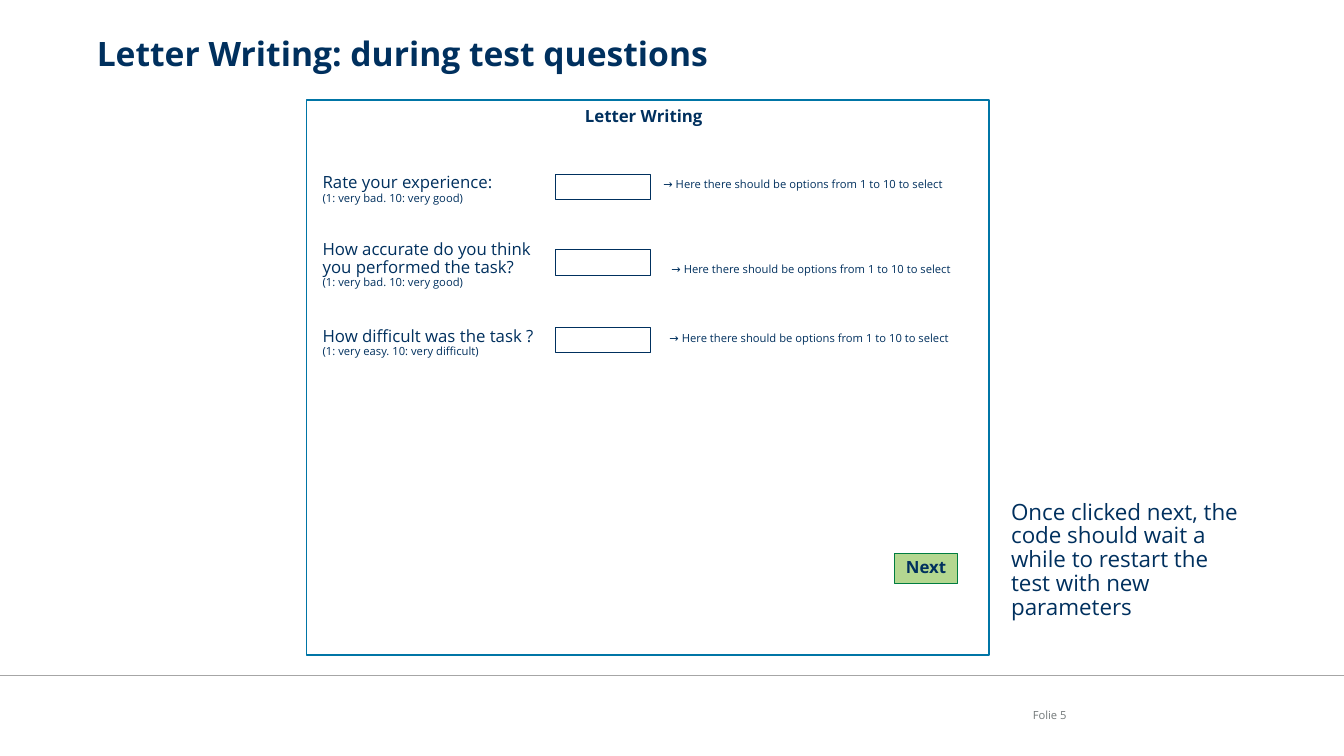
from lxml.etree import SubElement
from pptx import Presentation
from pptx.dml.color import RGBColor
from pptx.enum.shapes import MSO_CONNECTOR, MSO_SHAPE
from pptx.enum.text import MSO_ANCHOR as Anchor, PP_ALIGN as Align
from pptx.oxml.ns import qn
from pptx.util import Emu, Pt

COLORS = {
    "navy": "00305E",
    "blue": "0075A6",
    "green": "6AB023",
    "dark_green": "007D40",
    "rule": "A6A6A6",
    "footer": "727879",
}
PX = 9144  # 100 px to the inch


def px(*lengths):
    return [Emu(length * PX) for length in lengths]


def color(name):
    return RGBColor.from_string(COLORS[name])


class Sheet:
    font_name = "Open Sans"
    line_spacing = 0.89

    def __init__(self, slide):
        self.slide = slide

    def style(self, font, size, bold=False, ink="navy"):
        font.name = self.font_name
        font.size = Pt(size)
        font.bold = bold
        font.color.rgb = color(ink)

    def frame(self, shape, anchor, margins=(0, 0)):
        frame = shape.text_frame
        frame.word_wrap = True
        frame.vertical_anchor = anchor
        across, down = px(*margins)
        frame.margin_left = frame.margin_right = across
        frame.margin_top = frame.margin_bottom = down
        return frame

    def fill_in(self, paragraph, text, size, bold=False, ink="navy", align=Align.LEFT):
        paragraph.text = text
        paragraph.alignment = align
        paragraph.line_spacing = self.line_spacing
        self.style(paragraph.font, size, bold, ink)

    def title(self, text, box):
        holder = self.slide.shapes.title
        holder.left, holder.top, holder.width, holder.height = px(*box)
        self.fill_in(self.frame(holder, Anchor.TOP).paragraphs[0], text, 24, True)

    def text(self, text, box, size, anchor=Anchor.MIDDLE, margins=(0, 0), **look):
        label = self.slide.shapes.add_textbox(*px(*box))
        self.fill_in(self.frame(label, anchor, margins).paragraphs[0], text, size, **look)

    def rect(self, box, line, weight, fill=None, opacity=100):
        rect = self.slide.shapes.add_shape(MSO_SHAPE.RECTANGLE, *px(*box))
        rect.shadow.inherit = False
        rect.line.color.rgb = color(line)
        rect.line.width = Pt(weight)
        if fill is None:
            rect.fill.background()
            return rect
        rect.fill.solid()
        rect.fill.fore_color.rgb = color(fill)
        tint = rect._element.spPr.find(qn("a:solidFill"))[0]
        SubElement(tint, qn("a:alpha"), val=str(opacity * 1000))
        return rect

    def button(self, text, box):
        button = self.rect(box, "dark_green", 0.75, "green", 50)
        caption = self.frame(button, Anchor.MIDDLE).paragraphs[0]
        self.fill_in(caption, text, 12, True, align=Align.CENTER)

    def rule(self, y, width):
        rule = self.slide.shapes.add_connector(MSO_CONNECTOR.STRAIGHT, *px(0, y, width, y))
        rule.line.color.rgb = color("rule")
        rule.line.width = Pt(1)
        SubElement(rule._element.spPr, qn("a:effectLst"))

    def question(self, top, lines, scale, hint, hint_tab):
        box = self.slide.shapes.add_textbox(*px(320, top, 646, 30))
        frame = self.frame(box, Anchor.MIDDLE)
        *opening, last = lines
        for line in opening:
            self.fill_in(frame.paragraphs[-1], line, 12)
            frame.add_paragraph()

        # The hint shares the last line of the question, after a tab
        asked = frame.paragraphs[-1]
        asked.alignment = Align.LEFT
        asked.line_spacing = self.line_spacing
        tabs = SubElement(asked._p.get_or_add_pPr(), qn("a:tabLst"))
        SubElement(tabs, qn("a:tab"), pos=str(hint_tab * PX), algn="l")
        for words, size in ((last + "\t", 12), (hint, 8)):
            run = asked.add_run()
            run.text = words
            self.style(run.font, size)

        self.fill_in(frame.add_paragraph(), scale, 8)
        self.rect((551, top, 94, 25), "navy", 0.75)


HINT = "→ Here there should be options from 1 to 10 to select"
QUESTIONS = [
    (173, ["Rate your experience:"], "(1: very bad. 10: very good)", 338),
    (248, ["How accurate do you think", "you performed the task?"],
     "(1: very bad. 10: very good)", 346),
    (325, ["How difficult was the task ?"], "(1: very easy. 10: very difficult)", 344),
]


def main():
    deck = Presentation()
    deck.slide_width, deck.slide_height = px(1333, 750)
    sheet = Sheet(deck.slides.add_slide(deck.slide_layouts[5]))

    # Footer
    sheet.rule(670, 1333)
    sheet.text("Folie 5", (981, 690, 77, 40), 8, ink="footer", align=Align.RIGHT)

    # Title
    sheet.title("Letter Writing: during test questions", (96, 38, 1157, 75))

    # Test screen
    sheet.rect((304, 99, 677, 551), "blue", 1)
    sheet.text("Letter Writing", (481, 101, 315, 30), 12, bold=True, align=Align.CENTER)
    sheet.button("Next", (887, 549, 63, 30))

    # Questions with answer fields
    for top, lines, scale, hint_tab in QUESTIONS:
        sheet.question(top, lines, scale, HINT, hint_tab)

    # Side note
    sheet.text(
        "Once clicked next, the code should wait a while to restart the test with new parameters",
        (993, 492, 255, 145), 16, Anchor.TOP, (10, 5))

    deck.save("out.pptx")


if __name__ == "__main__":
    main()
